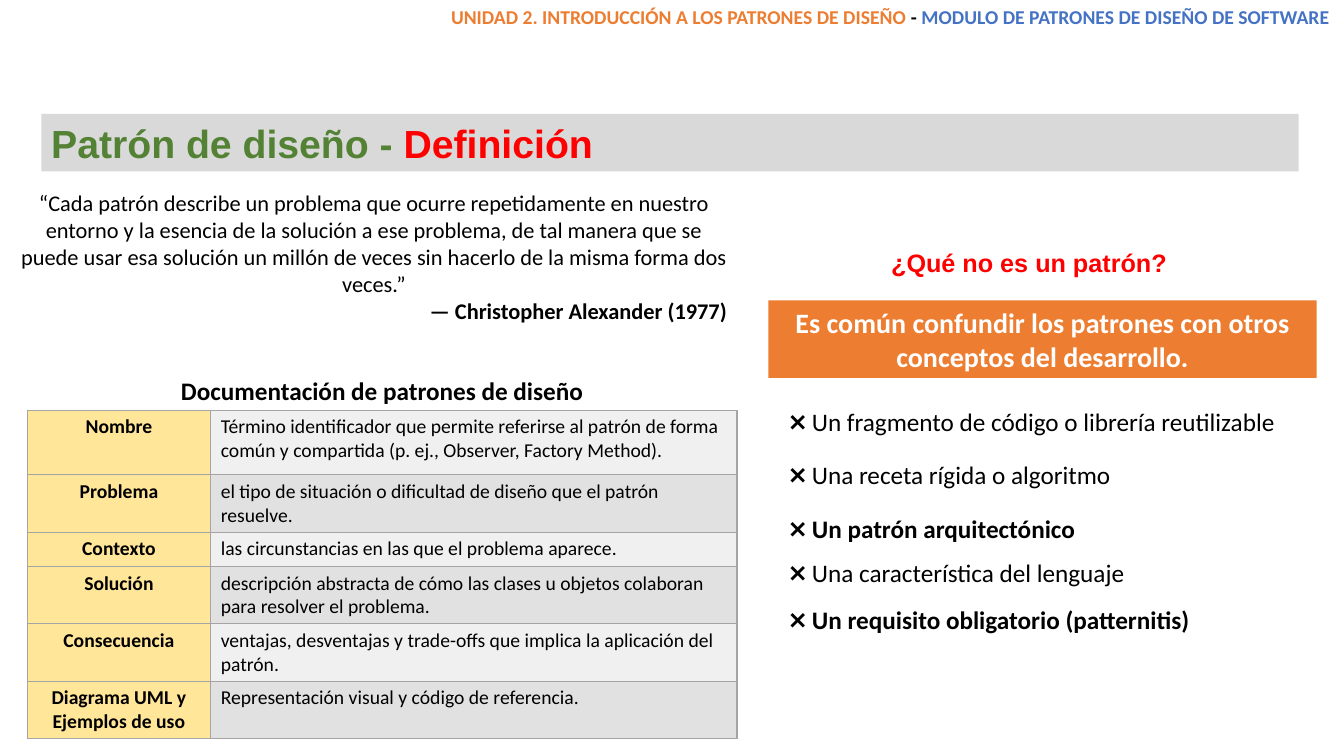
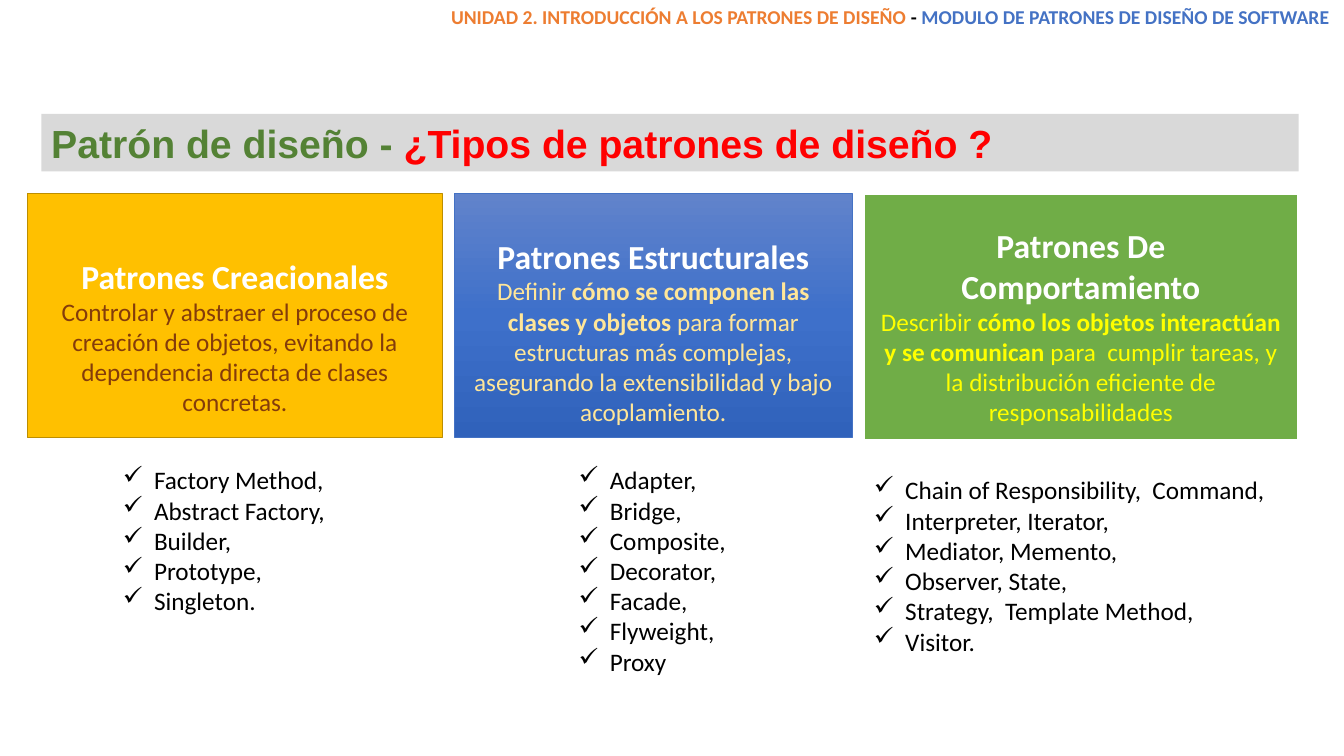
from copy import deepcopy

from lxml import etree
from pptx import Presentation
from pptx.dml.color import RGBColor
from pptx.enum.shapes import MSO_SHAPE
from pptx.enum.text import MSO_ANCHOR, PP_ALIGN
from pptx.oxml.ns import qn
from pptx.util import Inches, Pt

RECT = MSO_SHAPE.RECTANGLE
LEFT, CENTER, RIGHT = PP_ALIGN.LEFT, PP_ALIGN.CENTER, PP_ALIGN.RIGHT
TOP, MIDDLE = MSO_ANCHOR.TOP, MSO_ANCHOR.MIDDLE

COLORS = {
    "black": "000000", "white": "FFFFFF", "red": "FF0000", "orange": "ED7D31",
    "blue": "4472C4", "title": "548235", "band": "D9D9D9", "label": "FFE699",
    "odd": "F0F0F0", "even": "E1E1E1", "border": "A5A5A5", "gold": "FFC000",
    "gold_line": "BD8E00", "brown": "843C0B", "green": "70AD47", "yellow": "FFFF00",
    "blue_top": "6183CB", "blue_mid": "3E70CA", "blue_end": "3062BB",
}

FIELDS = [
    ("Nombre", "Término identificador que permite referirse al patrón de forma común "
     "y compartida (p. ej., Observer, Factory Method).", 0.64),
    ("Problema", "el tipo de situación o dificultad de diseño que el patrón resuelve.", 0.57),
    ("Contexto", "las circunstancias en las que el problema aparece.", 0.34),
    ("Solución", "descripción abstracta de cómo las clases u objetos colaboran "
     "para resolver el problema.", 0.57),
    ("Consecuencia", "ventajas, desventajas y trade-offs que implica la aplicación "
     "del patrón.", 0.57),
    ("Diagrama UML y Ejemplos de uso", "Representación visual y código de referencia.", 0.57),
]

MISCONCEPTIONS = [
    ("Un fragmento de código o librería reutilizable", False, 1.0),
    ("Una receta rígida o algoritmo", False, 1.53),
    ("Un patrón arquitectónico", True, 2.06),
    ("Una característica del lenguaje", False, 2.5),
    ("Un requisito obligatorio (patternitis)", True, 2.97),
]

CARDS = [
    {"box": (0.27, 1.92, 4.12, 2.42), "fill": ["gold"], "line": ("gold_line", 1),
     "inset": 0.46, "title": "Patrones Creacionales", "color": "brown",
     "text": [("Controlar y abstraer el proceso de creación de objetos, evitando la "
               "dependencia directa de clases concretas.", False)],
     "list": (1.12, 4.56, 2.9, 1.62),
     "items": ["Factory Method,", "Abstract Factory,", "Builder,", "Prototype,", "Singleton."]},
    {"box": (4.51, 1.92, 3.94, 2.42), "fill": ["blue_top", "blue_mid", "blue_end"],
     "line": ("blue", 0.5), "inset": 0.36, "title": "Patrones Estructurales", "color": "label",
     "text": [("Definir ", False), ("cómo se componen las clases y objetos", True),
              (" para formar estructuras más complejas, asegurando la extensibilidad "
               "y bajo acoplamiento.", False)],
     "list": (5.64, 4.56, 1.82, 2.22),
     "items": ["Adapter,", "Bridge,", "Composite,", "Decorator,", "Facade,", "Flyweight,",
               "Proxy"]},
    {"box": (8.57, 1.92, 4.3, 2.45), "fill": ["green"], "line": ("white", 1.5),
     "inset": 0.23, "title": "Patrones De Comportamiento", "color": "yellow",
     "text": [("Describir ", False), ("cómo los objetos interactúan y se comunican", True),
              (" para  cumplir tareas, y la distribución eficiente de responsabilidades",
               False)],
     "list": (8.57, 4.66, 4.3, 1.92),
     "items": ["Chain of Responsibility,  Command,", "Interpreter, Iterator,",
               "Mediator, Memento,", "Observer, State,", "Strategy,  Template Method,",
               "Visitor."]},
]


def rgb(name):
    """Return the named colour."""
    return RGBColor.from_string(COLORS[name])


def run(text, size, color="black", bold=False, font="Calibri"):
    """Describe one styled run."""
    return text, size, color, bold, font


def write(tf, paragraphs, anchor=TOP):
    """Fill a text frame with (alignment, runs) paragraphs."""
    tf.word_wrap = True
    tf.vertical_anchor = anchor
    for i, (align, runs) in enumerate(paragraphs):
        p = tf.paragraphs[0] if i == 0 else tf.add_paragraph()
        p.alignment = align
        for text, size, color, bold, font in runs:
            r = p.add_run()
            r.text = text
            r.font.size, r.font.bold, r.font.name = Pt(size), bold, font
            r.font.color.rgb = rgb(color)


def add_text(slide, box, paragraphs):
    """Add a wrapped text box."""
    sp = slide.shapes.add_textbox(*map(Inches, box))
    write(sp.text_frame, paragraphs)
    return sp


def add_box(slide, box, fills, paragraphs, line=None):
    """Add a rectangle with a solid or vertical gradient fill."""
    sp = slide.shapes.add_shape(RECT, *map(Inches, box))
    sp.shadow.inherit = False
    if len(fills) == 1:
        sp.fill.solid()
        sp.fill.fore_color.rgb = rgb(fills[0])
    else:
        sp.fill.gradient()
        sp.fill.gradient_angle = 270
        stops = sp._element.spPr.find(".//" + qn("a:gsLst"))
        while len(stops) < len(fills):
            stops.append(deepcopy(stops[0]))
        for i, stop in enumerate(sp.fill.gradient_stops):
            stop.position = i / (len(fills) - 1)
            stop.color.rgb = rgb(fills[i])
    if line:
        sp.line.color.rgb = rgb(line[0])
        sp.line.width = Pt(line[1])
    else:
        sp.line.fill.background()
    write(sp.text_frame, paragraphs, MIDDLE)
    return sp


def add_slide(prs, topic):
    """Add a slide with the course header and title band."""
    slide = prs.slides.add_slide(prs.slide_layouts[6])
    add_text(slide, (1.89, 0, 11.44, 0.34), [(RIGHT, [
        run("UNIDAD 2. INTRODUCCIÓN A LOS PATRONES DE DISEÑO ", 14, "orange", True),
        run("- ", 14, "black", True),
        run("MODULO DE PATRONES DE DISEÑO DE SOFTWARE ", 14, "blue", True)])])
    add_box(slide, (0.41, 1.13, 12.47, 0.57), ["band"], [(LEFT, [
        run("Patrón de diseño - ", 28, "title", True, "Arial"),
        run(topic, 28, "red", True, "Arial")])])
    return slide


def style_cell(cell, fill, align, text, bold):
    """Set the borders, fill and text of a cell."""
    tc_pr = cell._tc.get_or_add_tcPr()
    for side in ("a:lnL", "a:lnR", "a:lnT", "a:lnB"):
        ln = etree.SubElement(tc_pr, qn(side), w=str(Pt(1)))
        solid = etree.SubElement(ln, qn("a:solidFill"))
        etree.SubElement(solid, qn("a:srgbClr"), val=COLORS["border"])
    cell.fill.solid()
    cell.fill.fore_color.rgb = rgb(fill)
    write(cell.text_frame, [(align, [run(text, 14, bold=bold)])])


def add_documentation(slide, x, y, w):
    """Add the heading and table of pattern documentation fields."""
    add_text(slide, (x, y, w, 0.4),
             [(CENTER, [run("Documentación de patrones de diseño", 18, bold=True)])])
    height = sum(field[2] for field in FIELDS)
    table = slide.shapes.add_table(len(FIELDS), 2, *map(Inches, (x, y + 0.4, w, height))).table
    table.first_row = table.horz_banding = False
    label_w = 1.82
    table.columns[0].width, table.columns[1].width = Inches(label_w), Inches(w - label_w)
    for i, (label, text, row_h) in enumerate(FIELDS):
        table.rows[i].height = Inches(row_h)
        style_cell(table.cell(i, 0), "label", CENTER, label, True)
        style_cell(table.cell(i, 1), "even" if i % 2 else "odd", LEFT, text, False)


def add_misconceptions(slide, x, y, w):
    """Add the banner and the list of what a pattern is not."""
    add_text(slide, (x + 1.12, y - 0.58, 3.32, 0.4),
             [(LEFT, [run("¿Qué no es un patrón?", 18, "red", True, "Arial")])])
    add_box(slide, (x, y, w, 0.77), ["orange"], [(CENTER, [
        run("Es común confundir los patrones con otros conceptos del desarrollo.",
            20, "white", True)])])
    for text, bold, top in MISCONCEPTIONS:
        add_box(slide, (x + 0.11, y + top, w - 0.1, 0.4), ["white"],
                [(LEFT, [run("❌ ", 18), run(text, 18, bold=bold)])])


def add_card(slide, card):
    """Add a pattern family card and its checklist."""
    body = [run(text, 18, card["color"], bold) for text, bold in card["text"]]
    sp = add_box(slide, card["box"], card["fill"],
                 [(CENTER, [run(card["title"], 24, "white", True)]), (CENTER, body)],
                 card["line"])
    sp.text_frame.margin_top = Inches(card["inset"])
    sp = add_text(slide, card["list"], [(LEFT, [run(item, 18)]) for item in card["items"]])
    for p in sp.text_frame.paragraphs:
        p_pr = p._p.get_or_add_pPr()
        p_pr.set("marL", str(Inches(0.31)))
        p_pr.set("indent", str(-Inches(0.31)))
        etree.SubElement(p_pr, qn("a:buChar"), char="✓")


def definition_slide(prs):
    """Build the definition slide."""
    slide = add_slide(prs, "Definición")
    add_text(slide, (0.11, 1.83, 7.2, 1.45), [
        (CENTER, [run("“Cada patrón describe un problema que ocurre repetidamente en nuestro "
                      "entorno y la esencia de la solución a ese problema, de tal manera que "
                      "se puede usar esa solución un millón de veces sin hacerlo de la misma "
                      "forma dos veces.”", 16)]),
        (RIGHT, [run("— Christopher Alexander (1977)", 16, bold=True)])])
    add_documentation(slide, 0.27, 3.67, 7.04)
    add_misconceptions(slide, 7.62, 2.98, 5.44)


def types_slide(prs):
    """Build the pattern types slide."""
    slide = add_slide(prs, "¿Tipos de patrones de diseño ?")
    for card in CARDS:
        add_card(slide, card)


def main():
    """Build and save the presentation."""
    prs = Presentation()
    prs.slide_width, prs.slide_height = Inches(13.33), Inches(7.5)
    definition_slide(prs)
    types_slide(prs)
    prs.save("out.pptx")


if __name__ == "__main__":
    main()
